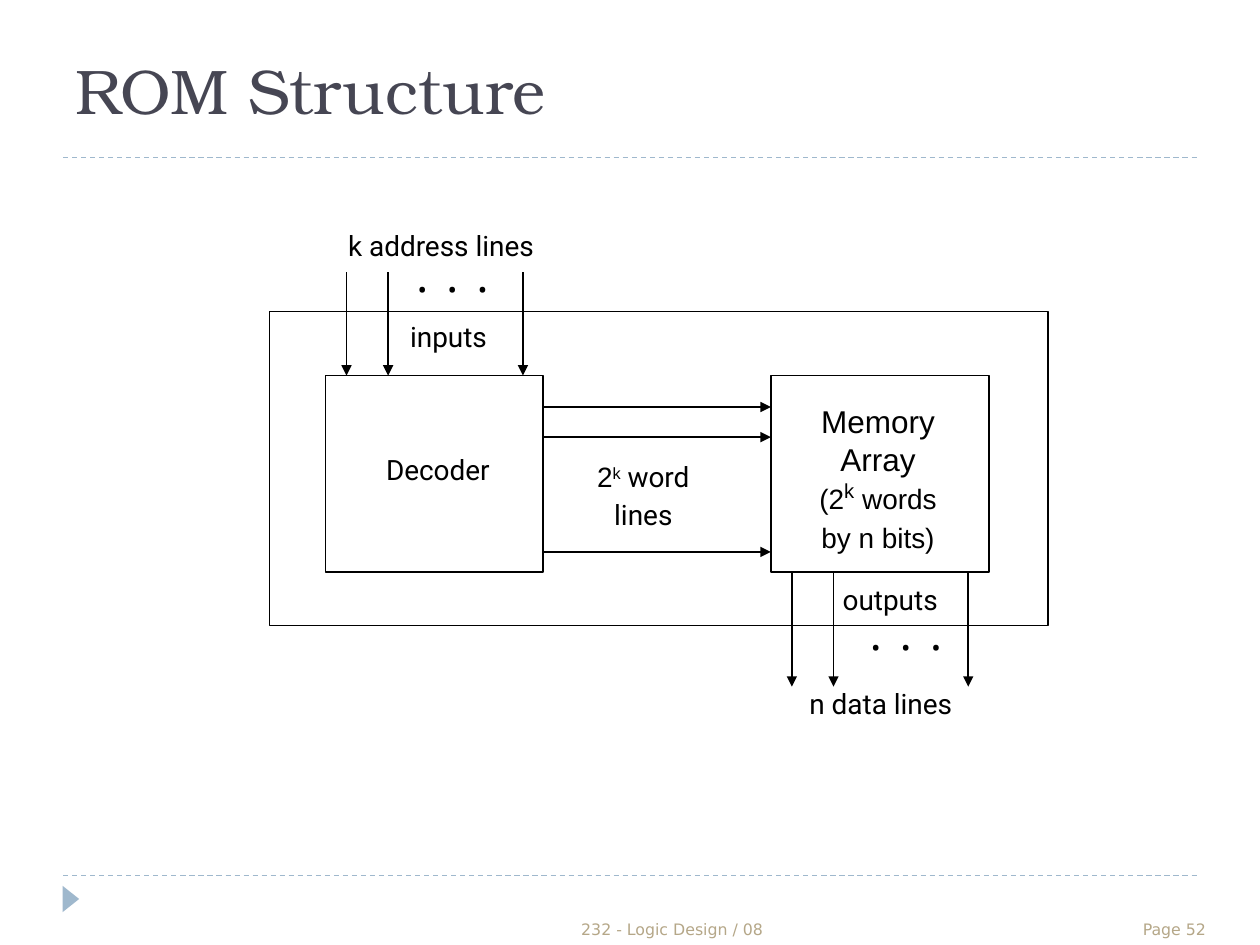
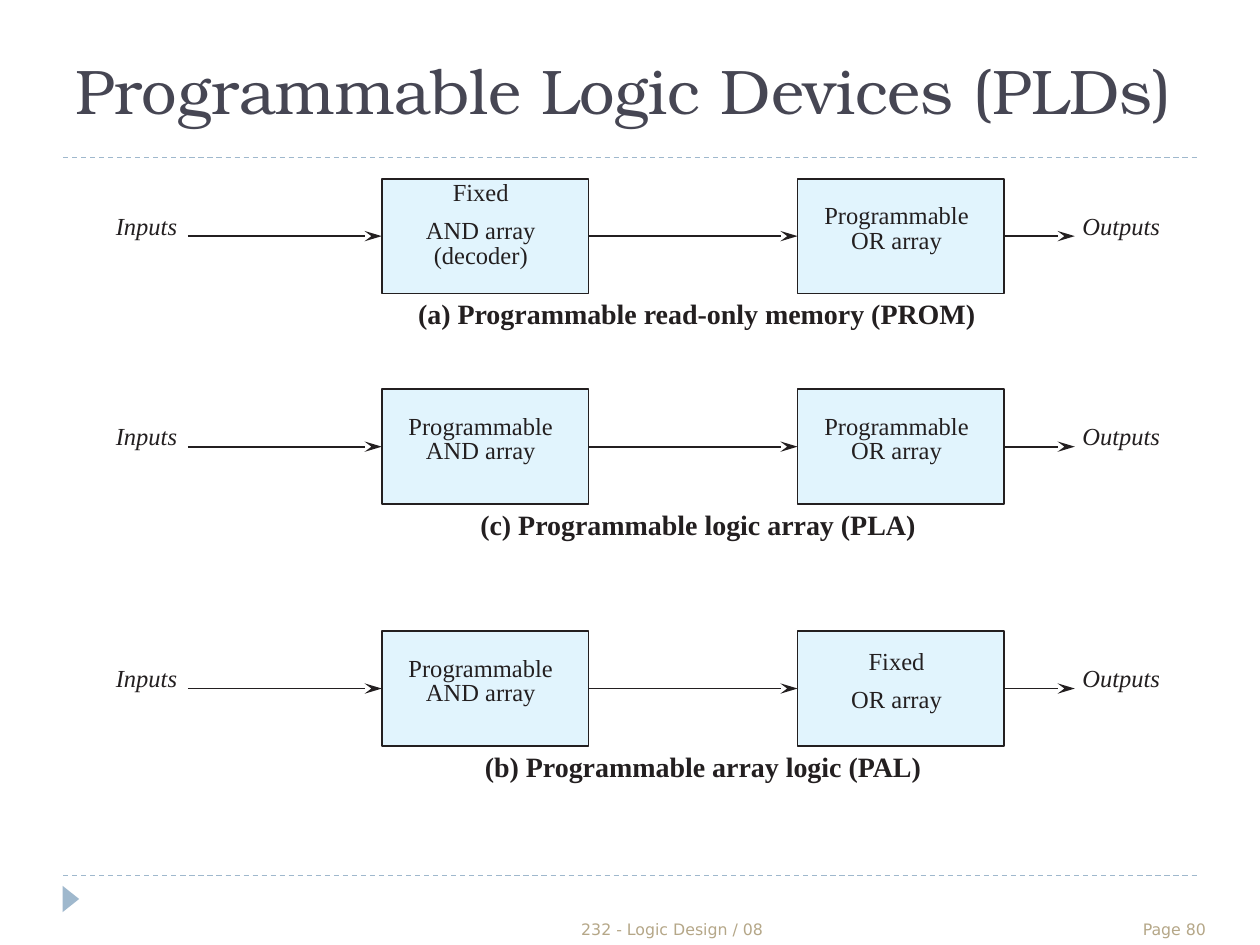
"""Build two logic design slides: ROM structure and programmable logic devices."""
from dataclasses import dataclass

from lxml.etree import SubElement
from pptx import Presentation
from pptx.dml.color import RGBColor
from pptx.enum.dml import MSO_LINE
from pptx.enum.shapes import MSO_CONNECTOR, MSO_SHAPE
from pptx.enum.text import MSO_ANCHOR, PP_ALIGN
from pptx.oxml.ns import qn
from pptx.util import Pt


@dataclass(frozen=True)
class Theme:
    title_color: str = "464653"
    accent: str = "9FB8CD"
    footer_color: str = "B5A788"
    black: str = "000000"
    ink: str = "231F20"
    array_fill: str = "E1F4FD"
    title_font: str = "TeX Gyre Bonum"
    footer_font: str = "DejaVu Sans"
    label_font: str = "Roboto"
    memory_font: str = "Arial"
    pld_font: str = "Times New Roman"
    title_size: float = 36
    memory_size: float = 18
    label_size: float = 16
    array_size: float = 14
    footer_size: float = 9
    exponent_size: float = 20


THEME = Theme()


def write(shape, lines, font=THEME.label_font, size=THEME.label_size, color=THEME.black,
          bold=False, italic=False, align=PP_ALIGN.CENTER, anchor=MSO_ANCHOR.TOP,
          leading=None, gaps=(), tabs=(), insets=(0, 0, 0, 0)):
    frame = shape.text_frame
    frame.word_wrap = True
    frame.vertical_anchor = anchor
    frame.margin_left, frame.margin_top, frame.margin_right, frame.margin_bottom = map(Pt, insets)
    for number, line in enumerate([lines] if isinstance(lines, str) else lines):
        paragraph = frame.add_paragraph() if number else frame.paragraphs[0]
        if tabs:
            tab_list = SubElement(paragraph._p.get_or_add_pPr(), qn("a:tabLst"))
            for stop in tabs:
                SubElement(tab_list, qn("a:tab"), pos=str(Pt(stop)), algn="l")
        paragraph.alignment = align
        if leading:
            paragraph.line_spacing = Pt(leading)
        if number and gaps:
            paragraph.space_before = Pt(gaps[number - 1])
        for part in [(line, {})] if isinstance(line, str) else line:
            content, change = part
            run = paragraph.add_run()
            run.text = content
            run.font.name = change.get("font", font)
            run.font.size = Pt(change.get("size", size))
            run.font.color.rgb = RGBColor.from_string(color)
            run.font.bold = bold
            run.font.italic = italic
            if change.get("raised"):
                run._r.get_or_add_rPr().set("baseline", "30000")


def draw_line(slide, start, end, color, width=1, head=None, head_length="med"):
    line = slide.shapes.add_connector(MSO_CONNECTOR.STRAIGHT, *map(Pt, start + end))
    line.line.color.rgb = RGBColor.from_string(color)
    line.line.width = Pt(width)
    if head:
        SubElement(line.line._get_or_add_ln(), qn("a:tailEnd"), type=head, w="med", len=head_length)
    else:
        line.line.dash_style = MSO_LINE.DASH
    SubElement(line._element.spPr, qn("a:effectLst"))


presentation = Presentation()
presentation.slide_width, presentation.slide_height = Pt(720), Pt(540)

slides = []
for title, page in (("ROM Structure", 52), ("Programmable Logic Devices (PLDs)", 80)):
    slide = presentation.slides.add_slide(presentation.slide_layouts[6])
    slides.append(slide)
    for rule_y in (500.4, 90):
        draw_line(slide, (36, rule_y), (684, rule_y), THEME.accent, width=0.75)
    marker = slide.shapes.add_shape(MSO_SHAPE.ISOSCELES_TRIANGLE, Pt(33), Pt(509), Pt(15), Pt(9.4))
    marker.rotation = 90
    marker.shadow.inherit = False
    marker.fill.solid()
    marker.fill.fore_color.rgb = RGBColor.from_string(THEME.accent)
    marker.line.fill.background()
    heading = slide.shapes.add_textbox(Pt(36), Pt(12.2), Pt(648), Pt(77.8))
    write(heading, title, font=THEME.title_font, size=THEME.title_size, color=THEME.title_color,
          align=PP_ALIGN.LEFT, anchor=MSO_ANCHOR.MIDDLE, insets=(7.2, 3.6, 7.2, 3.6))
    for footer, left, width, align in (
            ("232 - Logic Design / 08", 198, 372, PP_ALIGN.CENTER),
            (f"Page {page}", 630, 66.2, PP_ALIGN.RIGHT)):
        footer_box = slide.shapes.add_textbox(Pt(left), Pt(522), Pt(width), Pt(18))
        write(footer_box, footer, font=THEME.footer_font, size=THEME.footer_size,
              color=THEME.footer_color, align=align, anchor=MSO_ANCHOR.BOTTOM,
              insets=(7.2, 3.6, 7.2, 3.6))

rom, plds = slides

decoder_left, block_top, block_width, block_height, block_pitch = 186, 214.6, 124.5, 112.3, 254.5
block_bottom = block_top + block_height
memory_left = decoder_left + block_pitch
memory_lines = [
    [("Memory", {"size": THEME.memory_size})],
    [("Array", {"size": THEME.memory_size})],
    [("(2", {}), ("k", {"size": THEME.exponent_size, "raised": True}), (" words", {})],
    "by n bits)",
]
for lines, left, top, width, height, font, insets in (
        ((), 154, 178, 445, 179.5, THEME.label_font, (0, 0, 0, 0)),
        ("Decoder", decoder_left, block_top, block_width, block_height,
         THEME.label_font, (4, 41.6, 0, 0)),
        (memory_lines, memory_left, block_top, block_width, block_height,
         THEME.memory_font, (0, 15, 2, 0))):
    block = rom.shapes.add_shape(MSO_SHAPE.RECTANGLE, Pt(left), Pt(top), Pt(width), Pt(height))
    block.shadow.inherit = False
    block.fill.background()
    block.line.color.rgb = RGBColor.from_string(THEME.black)
    block.line.width = Pt(1)
    write(block, lines, font=font, leading=21.8, insets=insets)

for address_x in (198, 221.8, 298.8):
    data_x = address_x + block_pitch
    draw_line(rom, (address_x, 155.5), (address_x, block_top), THEME.black, head="triangle")
    draw_line(rom, (data_x, block_bottom), (data_x, 392.4), THEME.black, head="triangle")
for word_y in (232.6, 249.8, 315.4):
    draw_line(rom, (decoder_left + block_width, word_y), (memory_left, word_y),
              THEME.black, head="triangle")

word_lines = [
    [("2", {"font": THEME.memory_font}), ("k", {"font": THEME.memory_font, "raised": True}),
     (" word", {})],
    "lines",
]
for lines, center, top in (
        ("k address lines", 252, 128), ("inputs", 256.3, 180), (word_lines, 367.6, 260),
        ("outputs", 508.7, 330.5), ("n data lines", 503.3, 389.5)):
    label = rom.shapes.add_textbox(Pt(center - 56), Pt(top), Pt(112), Pt(21.8 * 2))
    write(label, lines, leading=21.8)
for dots_left, dots_top in ((238.6, 154), (497.8, 358.5)):
    dots = rom.shapes.add_textbox(Pt(dots_left), Pt(dots_top), Pt(60), Pt(21))
    write(dots, "•\t•\t•", align=PP_ALIGN.LEFT, leading=20.8, tabs=(17.2, 34.4))

programmable_and = (["Programmable", "AND array"], 17, (2,))
programmable_or = (["Programmable", "OR array"], 17, (2,))
fixed_and = (["Fixed", "AND array", "(decoder)"], 3.5, (10, 2))
fixed_or = (["Fixed", "OR array"], 13, (10,))
array_width, array_height = 118.1, 65.5
and_left, or_left = 218.2, 455.8

for row_top, and_array, or_array, caption, caption_center in (
        (102.2, fixed_and, programmable_or, "(a) Programmable read-only memory (PROM)", 398.2),
        (222.5, programmable_and, programmable_or, "(c) Programmable logic array (PLA)", 398.9),
        (360.7, programmable_and, fixed_or, "(b) Programmable array logic (PAL)", 401.8)):
    for left, (lines, text_top, gaps) in ((and_left, and_array), (or_left, or_array)):
        array = plds.shapes.add_shape(MSO_SHAPE.RECTANGLE, Pt(left), Pt(row_top),
                                      Pt(array_width), Pt(array_height))
        array.shadow.inherit = False
        array.fill.solid()
        array.fill.fore_color.rgb = RGBColor.from_string(THEME.array_fill)
        array.line.color.rgb = RGBColor.from_string(THEME.ink)
        array.line.width = Pt(1)
        write(array, lines, font=THEME.pld_font, size=THEME.array_size, color=THEME.ink,
              leading=12, gaps=gaps, insets=(0, text_top, 5, 0))
    flow_y = row_top + array_height / 2
    for start_x, end_x in ((107.3, and_left), (and_left + array_width, or_left),
                           (or_left + array_width, 614.2)):
        draw_line(plds, (start_x, flow_y), (end_x, flow_y), THEME.ink,
                  head="stealth", head_length="lg")
    for signal, left in (("Inputs", 66.2), ("Outputs", 618.5)):
        signal_box = plds.shapes.add_textbox(Pt(left), Pt(row_top + 25), Pt(50), Pt(13.6))
        write(signal_box, signal, font=THEME.pld_font, size=THEME.array_size, color=THEME.ink,
              italic=True, align=PP_ALIGN.LEFT, leading=10)
    caption_box = plds.shapes.add_textbox(Pt(caption_center - 170), Pt(row_top + 76.6),
                                          Pt(340), Pt(13.6))
    write(caption_box, caption, font=THEME.pld_font, color=THEME.ink, bold=True, leading=10)

presentation.save("out.pptx")
